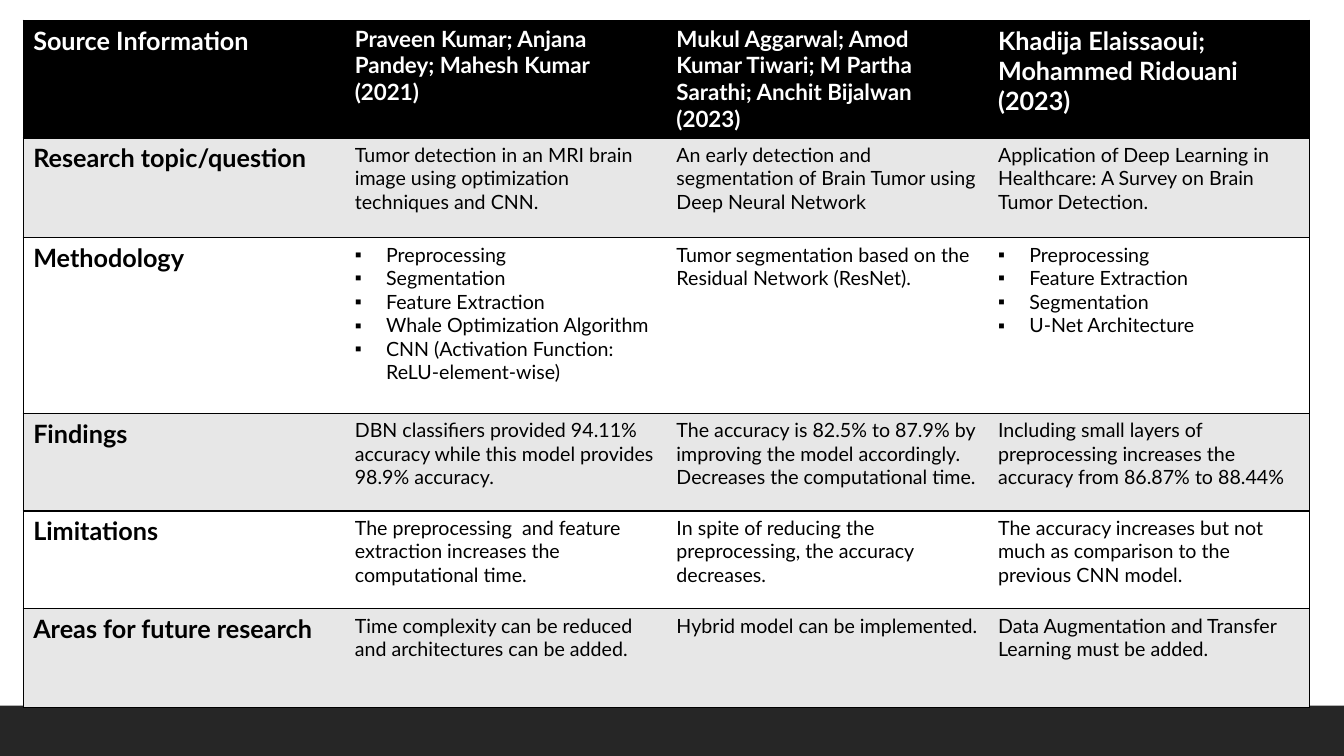
from lxml import etree
from pptx import Presentation
from pptx.dml.color import RGBColor
from pptx.enum.shapes import MSO_SHAPE
from pptx.oxml.ns import qn
from pptx.util import Inches, Pt

RECTANGLE = MSO_SHAPE.RECTANGLE
BLACK = RGBColor(0x00, 0x00, 0x00)
WHITE = RGBColor(0xFF, 0xFF, 0xFF)
GREY = RGBColor(0xE7, 0xE7, 0xE7)
CHARCOAL = RGBColor(0x26, 0x26, 0x26)
FONT = "Lato"

# A list holds bullets; a string is one paragraph.
ROWS = [
    ("Source Information",
     "Praveen Kumar; Anjana Pandey; Mahesh Kumar (2021)",
     "Mukul Aggarwal; Amod Kumar Tiwari; M Partha Sarathi; Anchit Bijalwan (2023)",
     "Khadija Elaissaoui; Mohammed Ridouani (2023)"),
    ("Research topic/question",
     "Tumor detection in an MRI brain image using optimization techniques and CNN.",
     "An early detection and segmentation of Brain Tumor using Deep Neural Network",
     "Application of Deep Learning in Healthcare: A Survey on Brain Tumor Detection."),
    ("Methodology",
     ["Preprocessing", "Segmentation", "Feature Extraction",
      "Whale Optimization Algorithm", "CNN (Activation Function: ReLU-element-wise)"],
     "Tumor segmentation based on the Residual Network (ResNet).",
     ["Preprocessing", "Feature Extraction", "Segmentation", "U-Net Architecture"]),
    ("Findings",
     "DBN classifiers provided 94.11% accuracy while this model provides 98.9% accuracy.",
     "The accuracy is 82.5% to 87.9% by improving the model accordingly.\v"
     "Decreases the computational time.",
     "Including small layers of preprocessing increases the accuracy from 86.87% to 88.44%"),
    ("Limitations",
     "The preprocessing  and feature extraction increases the computational time.",
     "In spite of reducing the preprocessing, the accuracy decreases.",
     "The accuracy increases but not much as comparison to the previous CNN model."),
    ("Areas for future research",
     "Time complexity can be reduced and architectures can be added.",
     "Hybrid model can be implemented.",
     "Data Augmentation and Transfer Learning must be added."),
]
ROW_HEIGHTS = [1.17, 0.99, 1.74, 0.97, 0.97, 0.98]
COLUMN_WIDTH = 3.19
HEADER_SIZES = [18, 16, 16, 18]
LABEL_SIZE, BODY_SIZE = 18, 14
BULLET_INDENT = 0.31


def set_borders(cell, sides):
    """Draw a 1 pt black line on the given sides and none on the others."""
    properties = cell._tc.get_or_add_tcPr()
    for side in "LRTB":
        line = etree.SubElement(properties, qn(f"a:ln{side}"), w=str(Pt(1)))
        if side in sides:
            fill = etree.SubElement(line, qn("a:solidFill"))
            etree.SubElement(fill, qn("a:srgbClr"), val=str(BLACK))
        else:
            etree.SubElement(line, qn("a:noFill"))


def add_bullet(para):
    properties = para._p.get_or_add_pPr()
    properties.set("marL", str(Inches(BULLET_INDENT)))
    properties.set("indent", str(-Inches(BULLET_INDENT)))
    etree.SubElement(properties, qn("a:buFont"), typeface="Arial")
    etree.SubElement(properties, qn("a:buChar"), char="▪")


def write_cell(cell, content, size, bold, color):
    bulleted = isinstance(content, list)
    frame = cell.text_frame
    for index, text in enumerate(content if bulleted else [content]):
        para = frame.add_paragraph() if index else frame.paragraphs[0]
        para.text = text
        if bulleted:
            add_bullet(para)
        for span in para.runs:
            for name, value in {"name": FONT, "size": Pt(size), "bold": bold}.items():
                setattr(span.font, name, value)
            span.font.color.rgb = color
        for line_break in para._p.findall(qn("a:br")):
            etree.SubElement(line_break, qn("a:rPr"), sz=str(size * 100))


def add_footer_band(page):
    band = page.shapes.add_shape(RECTANGLE, 0, Inches(7), Inches(13.33), Inches(0.5))
    band.shadow.inherit = False
    band.fill.solid()
    band.fill.fore_color.rgb = CHARCOAL
    band.line.fill.background()


def add_review_table(page):
    columns = len(HEADER_SIZES)
    table = page.shapes.add_table(
        len(ROWS), columns, Inches(0.23), Inches(0.2),
        Inches(COLUMN_WIDTH * columns), Inches(sum(ROW_HEIGHTS))).table
    table.horz_banding = False
    for column in table.columns:
        column.width = Inches(COLUMN_WIDTH)
    for r, row in enumerate(ROWS):
        table.rows[r].height = Inches(ROW_HEIGHTS[r])
        for c, content in enumerate(row):
            cell = table.cell(r, c)
            set_borders(cell, "TB" + {0: "L", columns - 1: "R"}.get(c, ""))
            cell.fill.solid()
            cell.fill.fore_color.rgb = BLACK if r == 0 else GREY if r % 2 else WHITE
            size = HEADER_SIZES[c] if r == 0 else BODY_SIZE if c else LABEL_SIZE
            write_cell(cell, content, size, r == 0 or c == 0, BLACK if r else WHITE)


def main():
    deck = Presentation()
    deck.slide_width, deck.slide_height = Inches(13.33), Inches(7.5)
    page = deck.slides.add_slide(deck.slide_layouts[6])
    add_footer_band(page)
    add_review_table(page)
    deck.save("out.pptx")


if __name__ == "__main__":
    main()
